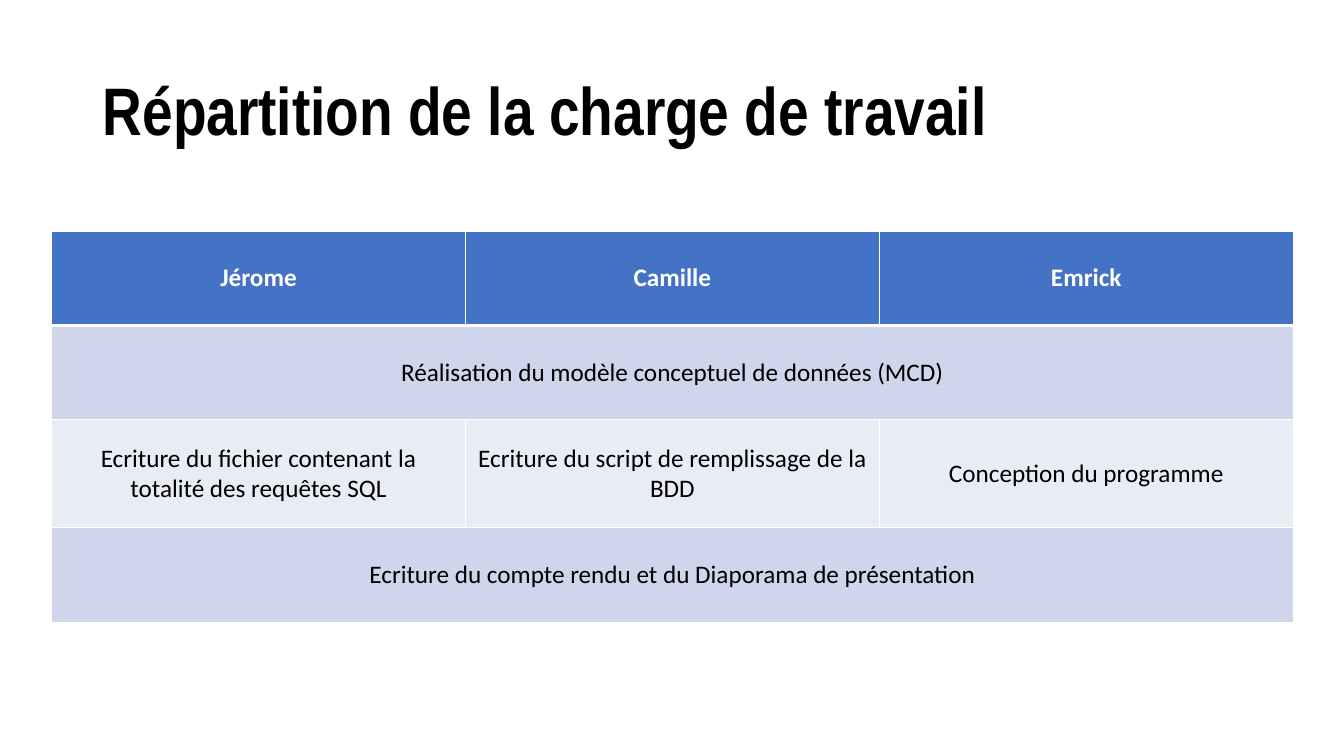
import dataclasses

import lxml.etree
import pptx
import pptx.dml.color
import pptx.enum.text
import pptx.oxml.ns
import pptx.slide
import pptx.table
import pptx.text.text
import pptx.util

BLACK = pptx.dml.color.RGBColor(0x00, 0x00, 0x00)
WHITE = pptx.dml.color.RGBColor(0xFF, 0xFF, 0xFF)
HEADER_BLUE = pptx.dml.color.RGBColor(0x44, 0x72, 0xC4)
SHARED_BLUE = pptx.dml.color.RGBColor(0xCF, 0xD5, 0xEA)
PERSONAL_BLUE = pptx.dml.color.RGBColor(0xE9, 0xEB, 0xF5)

COLUMN_COUNT = 3
COLUMN_WIDTH = 10.43
THIN_BORDER = 1
HEADER_BORDER = 3


@dataclasses.dataclass(frozen=True)
class WorkRow:
    texts: tuple[str, ...]
    fill: pptx.dml.color.RGBColor
    height: float = 2.38
    color: pptx.dml.color.RGBColor = BLACK
    bold: bool = False
    top: int = THIN_BORDER
    bottom: int = THIN_BORDER


WORK_ROWS = (
    WorkRow(("Jérome", "Camille", "Emrick"), HEADER_BLUE,
            color=WHITE, bold=True, bottom=HEADER_BORDER),
    WorkRow(("Réalisation du modèle conceptuel de données (MCD)",), SHARED_BLUE,
            top=HEADER_BORDER),
    WorkRow(("Ecriture du fichier contenant la totalité des requêtes SQL",
             "Ecriture du script de remplissage de la BDD",
             "Conception du programme"), PERSONAL_BLUE, height=2.72),
    WorkRow(("Ecriture du compte rendu et du Diaporama de présentation",), SHARED_BLUE),
)


def write_text(
    frame: pptx.text.text.TextFrame,
    text: str,
    *,
    size: float,
    font: str,
    color: pptx.dml.color.RGBColor,
    bold: bool,
    align: pptx.enum.text.PP_ALIGN,
    line_spacing: float = 1.0,
) -> None:
    paragraph = frame.paragraphs[0]
    paragraph.alignment = align
    paragraph.line_spacing = line_spacing
    run = paragraph.add_run()
    run.text = text
    run.font.size = pptx.util.Pt(size)
    run.font.name = font
    run.font.bold = bold
    run.font.color.rgb = color


def set_borders(cell: pptx.table._Cell, top: int, bottom: int) -> None:
    properties = cell._tc.get_or_add_tcPr()
    widths = {"lnL": THIN_BORDER, "lnR": THIN_BORDER, "lnT": top, "lnB": bottom}
    for position, (side, width) in enumerate(widths.items()):
        line = lxml.etree.Element(
            pptx.oxml.ns.qn(f"a:{side}"), w=str(pptx.util.Pt(width))
        )
        fill = lxml.etree.SubElement(line, pptx.oxml.ns.qn("a:solidFill"))
        lxml.etree.SubElement(fill, pptx.oxml.ns.qn("a:srgbClr"), val=str(WHITE))
        properties.insert(position, line)


def draw_title(slide: pptx.slide.Slide) -> None:
    title = slide.shapes.add_textbox(
        pptx.util.Cm(2.34), pptx.util.Cm(1.02), pptx.util.Cm(29.21), pptx.util.Cm(3.68)
    )
    title.text_frame.word_wrap = True
    title.text_frame.vertical_anchor = pptx.enum.text.MSO_ANCHOR.MIDDLE
    write_text(
        title.text_frame, "Répartition de la charge de travail",
        size=48, font="Arial Narrow", color=BLACK, bold=True,
        align=pptx.enum.text.PP_ALIGN.LEFT, line_spacing=0.9,
    )


def draw_row(table: pptx.table.Table, index: int, work: WorkRow) -> None:
    table.rows[index].height = pptx.util.Cm(work.height)
    cells = [table.cell(index, column) for column in range(COLUMN_COUNT)]
    if len(work.texts) == 1:
        cells[0].merge(cells[-1])
    for cell in cells:
        cell.fill.solid()
        cell.fill.fore_color.rgb = work.fill
        cell.vertical_anchor = pptx.enum.text.MSO_ANCHOR.MIDDLE
        set_borders(cell, work.top, work.bottom)
    for cell, text in zip(cells, work.texts):
        write_text(
            cell.text_frame, text,
            size=18, font="Calibri", color=work.color, bold=work.bold,
            align=pptx.enum.text.PP_ALIGN.CENTER,
        )


def draw_table(slide: pptx.slide.Slide) -> None:
    table = slide.shapes.add_table(
        len(WORK_ROWS), COLUMN_COUNT,
        pptx.util.Cm(1.3), pptx.util.Cm(5.82),
        pptx.util.Cm(COLUMN_COUNT * COLUMN_WIDTH),
        pptx.util.Cm(sum(work.height for work in WORK_ROWS)),
    ).table
    for column in table.columns:
        column.width = pptx.util.Cm(COLUMN_WIDTH)
    for index, work in enumerate(WORK_ROWS):
        draw_row(table, index, work)


def main() -> None:
    presentation = pptx.Presentation()
    presentation.slide_width = pptx.util.Cm(33.87)
    presentation.slide_height = pptx.util.Cm(19.05)
    slide = presentation.slides.add_slide(presentation.slide_layouts[6])
    draw_title(slide)
    draw_table(slide)
    presentation.save("out.pptx")


if __name__ == "__main__":
    main()
